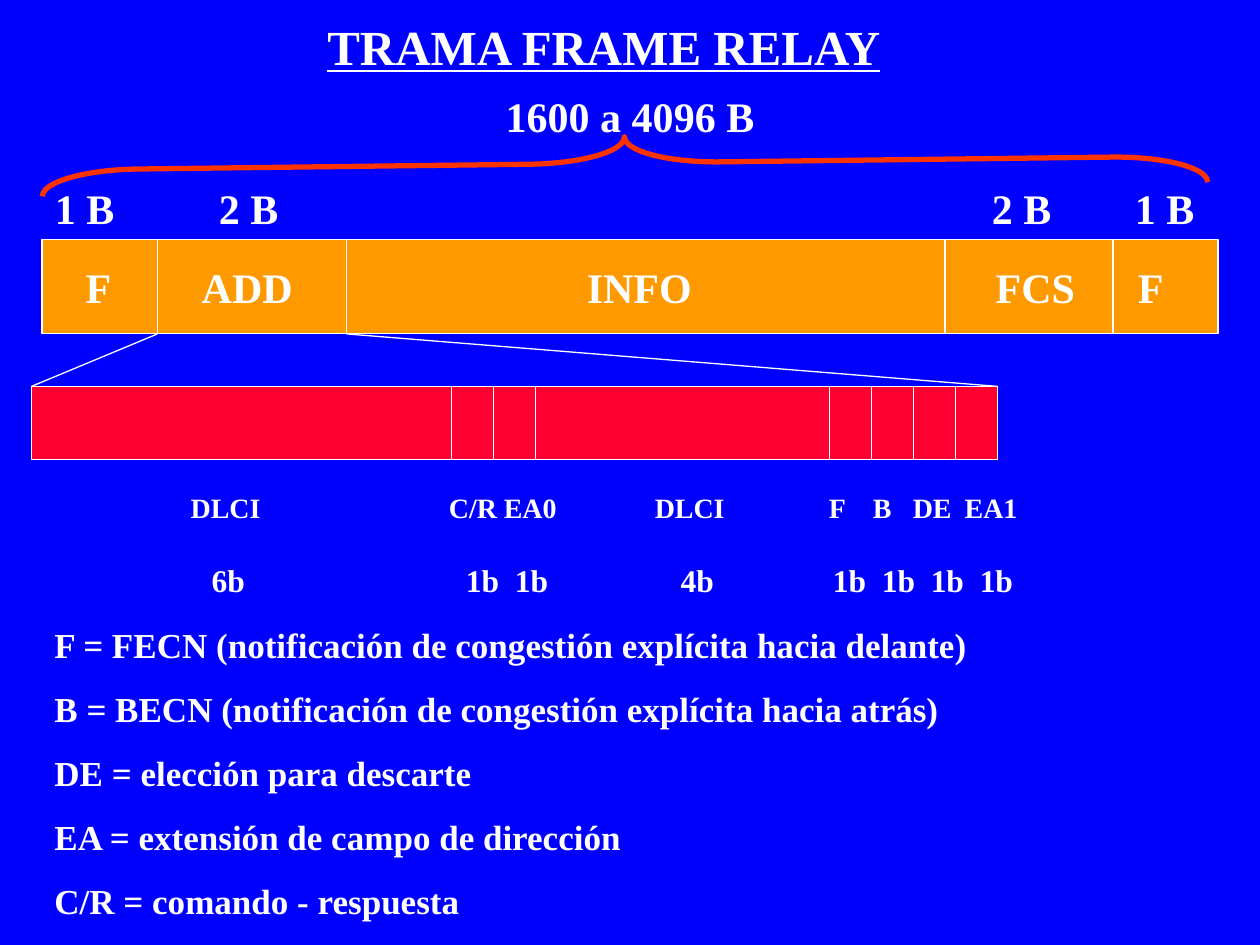
from itertools import accumulate

from lxml import etree
from pptx import Presentation
from pptx import util as u
from pptx.dml.color import RGBColor
from pptx.enum import shapes, text
from pptx.oxml.ns import qn

WHITE, BLUE, ORANGE, RED, BRACE = "FFFFFF", "0000FF", "FF9900", "FF0033", "FF3300"
INSET = 7.2


def color(value):
    return RGBColor.from_string(value)


class FrameSlide:
    style = {"name": "Times New Roman", "bold": True}
    lead_size = 24

    def __init__(self, deck):
        self.slide = deck.slides.add_slide(deck.slide_layouts[6])
        fill = self.slide.background.fill
        fill.solid()
        fill.fore_color.rgb = color(BLUE)

    def outline(self, item, value=WHITE, width=0.75):
        item.line.color.rgb = color(value)
        item.line.width = u.Pt(width)

    def line(self, *ends):
        rule = self.slide.shapes.add_connector(
            shapes.MSO_CONNECTOR.STRAIGHT, *map(u.Pt, ends))
        self.outline(rule)
        etree.SubElement(rule._element.spPr, qn("a:effectLst"))

    def bar(self, left, top, width, height, fill, dividers):
        strip = self.slide.shapes.add_shape(
            shapes.MSO_SHAPE.RECTANGLE, *map(u.Pt, (left, top, width, height)))
        strip.shadow.inherit = False
        strip.fill.solid()
        strip.fill.fore_color.rgb = color(fill)
        self.outline(strip)
        for x in dividers:
            self.line(x, top, x, top + height)
        return strip

    def brace(self, left, top, width, height, angle, curl):
        span = self.slide.shapes.add_shape(
            shapes.MSO_SHAPE.LEFT_BRACE, *map(u.Pt, (left, top, width, height)))
        span.shadow.inherit = False
        span.fill.background()
        self.outline(span, BRACE, 3)
        span.rotation = angle
        span.adjustments[0] = curl

    def run(self, paragraph, words, size, **extra):
        run = paragraph.add_run()
        run.text = words
        for key, value in {**self.style, "size": u.Pt(size), **extra}.items():
            setattr(run.font, key, value)
        run.font.color.rgb = color(WHITE)

    def frame_text(self, left, top, width, height):
        box = self.slide.shapes.add_textbox(*map(u.Pt, (left, top, width, height)))
        box.text_frame.word_wrap = True
        box.text_frame.auto_size = text.MSO_AUTO_SIZE.SHAPE_TO_FIT_TEXT
        return box

    def lines(self, place, lines, size, align=text.PP_ALIGN.LEFT, gap=0, **extra):
        frame = self.frame_text(*place).text_frame
        for index, words in enumerate(lines):
            paragraph = frame.add_paragraph() if index else frame.paragraphs[0]
            paragraph.alignment = align
            if index:
                paragraph.space_before = u.Pt(gap)
            self.run(paragraph, words, size, **extra)

    def tabbed(self, box, labels, size):
        paragraph = box.text_frame.paragraphs[0]
        start = box.left.pt + INSET
        stops = etree.SubElement(paragraph._p.get_or_add_pPr(), qn("a:tabLst"))
        for x in labels:
            etree.SubElement(stops, qn("a:tab"), pos=str(u.Pt(x - start)), algn="l")
        paragraph.alignment = text.PP_ALIGN.LEFT
        self.run(paragraph, "\t", self.lead_size)
        self.run(paragraph, "\t".join(labels.values()), size)


def main():
    deck = Presentation()
    deck.slide_width, deck.slide_height = u.Pt(720), u.Pt(540)
    page = FrameSlide(deck)
    center = text.PP_ALIGN.CENTER

    page.lines((102, 6, 486, 41), ["TRAMA FRAME RELAY"], 28, center, underline=True)

    frame_left, frame_top, frame_height = 24, 136.8, 54
    address_left, address_right = 90, 198
    frame = page.bar(frame_left, frame_top, 672, frame_height, ORANGE,
                     (address_left, address_right, 540, 636))
    frame.text_frame.word_wrap = True
    frame.text_frame.vertical_anchor = text.MSO_ANCHOR.MIDDLE
    page.tabbed(frame, {49.1: "F", 115.4: "ADD", 335.4: "INFO",
                        569.1: "FCS", 650.3: "F"}, 24)
    page.tabbed(page.frame_text(frame_left, 100.8, 696, 36),
                {31.4: "1 B", 125.1: "2 B", 566.9: "2 B", 648.6: "1 B"}, 24)

    bit, bits_left, bits_top = 24, 18, 220.8
    edges = [bits_left + bit * n for n in accumulate((10, 1, 1, 7, 1, 1, 1, 1))]
    bits_right = edges.pop()
    page.bar(bits_left, bits_top, bits_right - bits_left, 42, RED, edges)

    page.tabbed(page.frame_text(24, 268.8, 624, 36),
                {109.1: "DLCI", 256.6: "C/R", 288: "EA0", 374.3: "DLCI",
                 473.7: "F", 498.9: "B", 521.7: "DE", 551.4: "EA1"}, 16)
    page.tabbed(page.frame_text(48, 310.8, 600, 36),
                {121.1: "6b", 266.3: "1b", 294.3: "1b", 389.1: "4b",
                 476: "1b", 504: "1b", 532: "1b", 560: "1b"}, 18)

    page.lines((24, 352.8, 588, 177), [
        "F = FECN (notificación de congestión explícita hacia delante)",
        "B = BECN (notificación de congestión explícita hacia atrás)",
        "DE = elección para descarte",
        "EA = extensión de campo de dirección",
        "C/R = comando - respuesta",
    ], 20, gap=12.5)

    frame_bottom = frame_top + frame_height
    page.line(bits_left, bits_top, address_left, frame_bottom)
    page.line(address_right, frame_bottom, bits_right, bits_top)
    page.lines((252, 48, 216, 36), ["1600 a 4096 B"], 24, center)
    page.brace(342, -239.8, 30, 666, 89.3, 1.83)

    deck.save("out.pptx")


if __name__ == "__main__":
    main()
